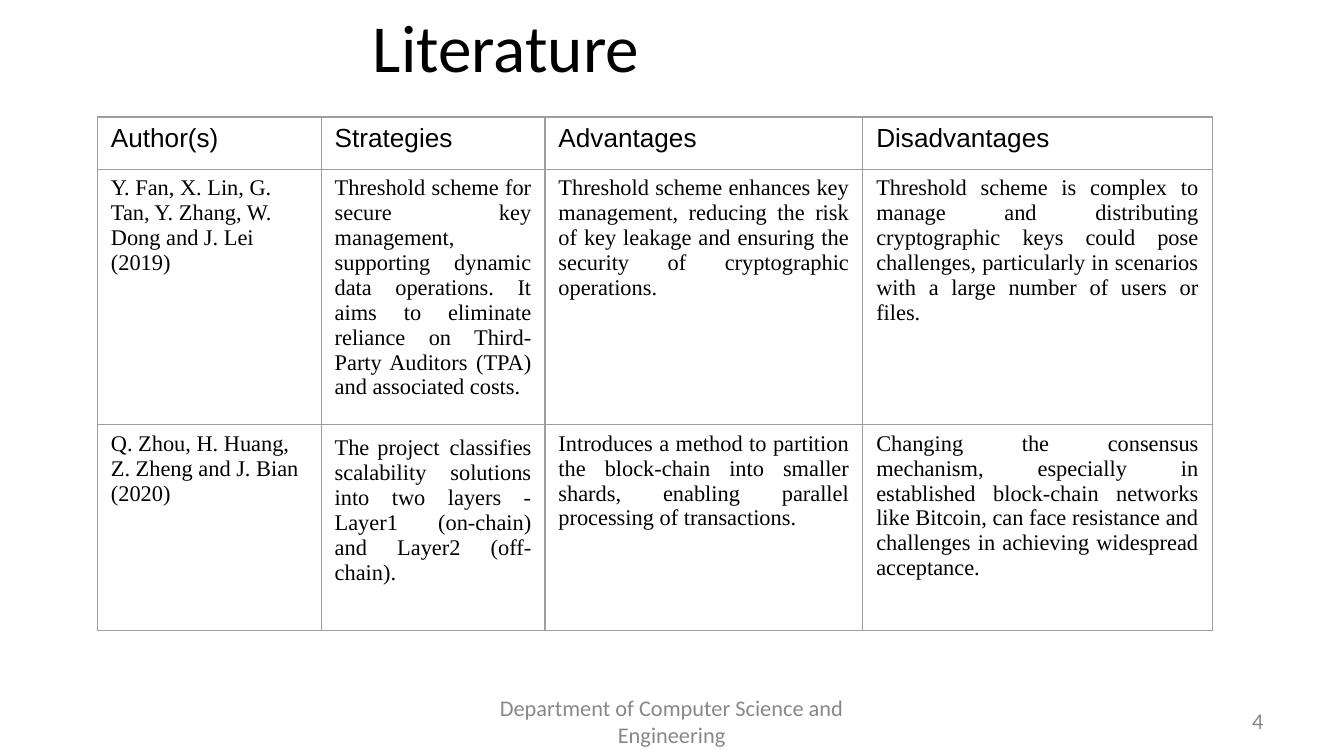
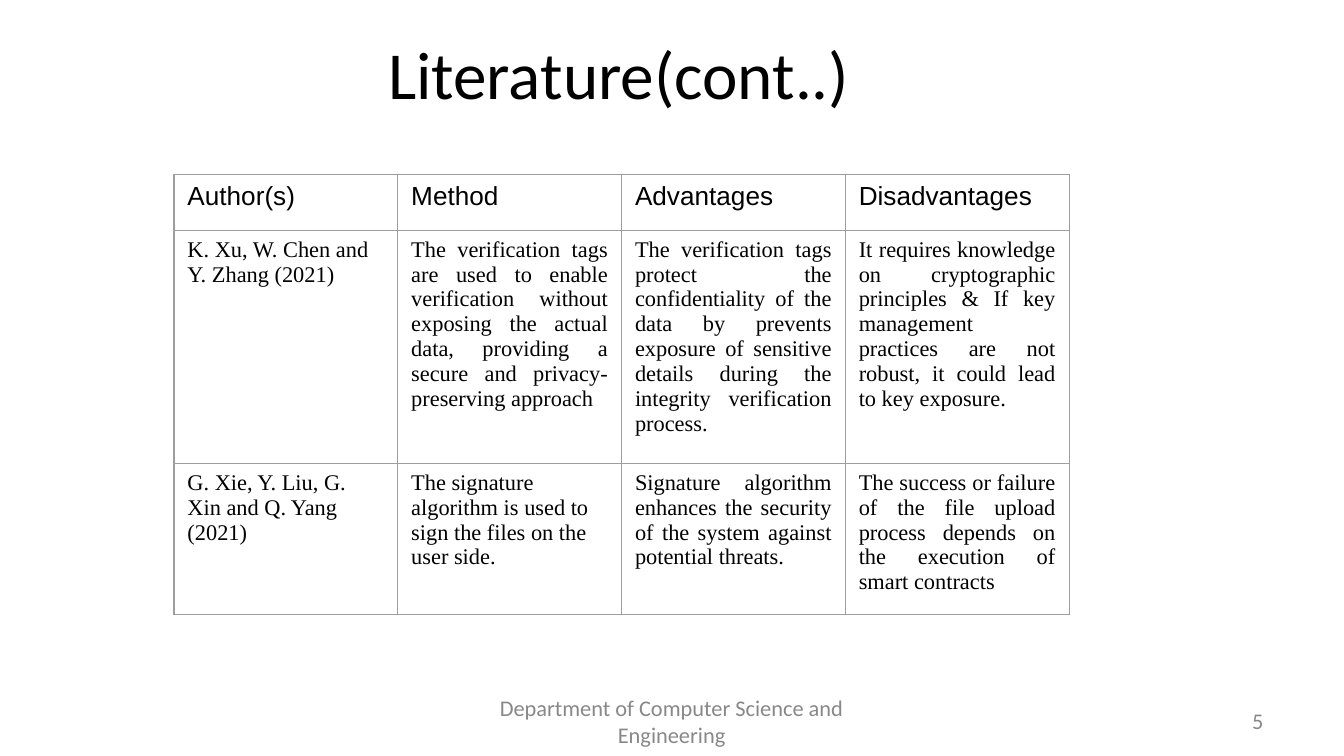
import dataclasses

import lxml.etree
import pptx
import pptx.dml.color
import pptx.enum.text
import pptx.oxml.ns
import pptx.util

PX = 4572  # EMU, 200 px to the inch
ALIGN = pptx.enum.text.PP_ALIGN
ANCHOR = pptx.enum.text.MSO_ANCHOR


@dataclasses.dataclass(frozen=True)
class Style:
    font: str
    size: int
    color: str = "000000"


@dataclasses.dataclass(frozen=True)
class Theme:
    title: Style = Style("Calibri", 36)
    header: Style = Style("Arial", 14)
    body: Style = Style("Times New Roman", 12)
    footer: Style = Style("Calibri", 12, "888888")
    background: str = "FFFFFF"
    border: str = "9E9E9E"
    border_width: float = 0.75


THEME = Theme()
SLIDE_WIDTH, SLIDE_HEIGHT = 2000, 1125
FOOTER_BOX = (683, 1043, 633, 60)
NUMBER_BOX = (1433, 1043, 467, 60)
FOOTER_TEXT = "Department of Computer Science and Engineering"

SURVEYS = [
    {
        "number": 4,
        "title": "Literature ",
        "title_box": (96, 0, 1337, 137),
        "table_corner": (145, 174),
        "columns": [333, 333, 473, 520],
        "row_heights": [78, 380, 306],
        "left_cells": [],
        "rows": [
            ["Author(s)", "Strategies", "Advantages", "Disadvantages"],
            [
                "Y. Fan, X. Lin, G. Tan, Y. Zhang, W. Dong and J. Lei (2019)",
                "Threshold scheme for secure key management, supporting dynamic data "
                "operations. It aims to eliminate reliance on Third-Party Auditors (TPA) "
                "and associated costs.",
                "Threshold scheme enhances key management, reducing the risk of key "
                "leakage and ensuring the security of cryptographic operations.",
                "Threshold scheme is complex to manage and distributing cryptographic "
                "keys could pose challenges, particularly in scenarios with a large "
                "number of users or files.",
            ],
            [
                "Q. Zhou, H. Huang, Z. Zheng and J. Bian (2020)",
                [
                    ("The project", THEME.body),
                    (" ", THEME.header),
                    ("classifies scalability solutions into two layers - Layer1 "
                     "(on-chain) and Layer2 (off-chain).", THEME.body),
                ],
                "Introduces a method to partition the block-chain into smaller shards, "
                "enabling parallel processing of transactions.",
                "Changing the consensus mechanism, especially in established block-chain "
                "networks like Bitcoin, can face resistance and challenges in achieving "
                "widespread acceptance.",
            ],
        ],
    },
    {
        "number": 5,
        "title": "Literature(cont..)",
        "title_box": (256, 39, 1330, 137),
        "table_corner": (259, 260),
        "columns": [333] * 4,
        "row_heights": [83, 347, 225],
        "left_cells": [(2, 1)],
        "rows": [
            ["Author(s)", "Method", "Advantages", "Disadvantages"],
            [
                "K. Xu, W. Chen and Y. Zhang (2021)",
                "The verification tags are used to enable verification without exposing "
                "the actual data, providing a secure and privacy-preserving approach",
                "The verification tags protect the confidentiality of the data by "
                "prevents exposure of sensitive details during the integrity "
                "verification process.",
                "It requires knowledge on cryptographic principles & If key management "
                "practices are not robust, it could lead to key exposure.",
            ],
            [
                "G. Xie, Y. Liu, G. Xin and Q. Yang (2021)",
                "The signature algorithm is used to sign the files on the user side.",
                "Signature algorithm enhances the security of the system against "
                "potential threats.",
                "The success or failure of the file upload process depends on the "
                "execution of smart contracts",
            ],
        ],
    },
]


def to_emu(lengths):
    return [length * PX for length in lengths]


def write(frame, text, *, style, align=ALIGN.LEFT, anchor=None):
    """Fill a text frame from a string, or from a list of (text, style) runs."""
    frame.word_wrap = True
    if anchor is not None:
        frame.vertical_anchor = anchor
    paragraph = frame.paragraphs[0]
    paragraph.alignment = align
    runs = [(text, style)] if isinstance(text, str) else text
    for run_text, run_style in runs:
        run = paragraph.add_run()
        run.text = run_text
        run.font.name = run_style.font
        run.font.size = pptx.util.Pt(run_style.size)
        run.font.color.rgb = pptx.dml.color.RGBColor.from_string(run_style.color)


def add_title(slide, box, text):
    title = slide.shapes.title
    title.left, title.top, title.width, title.height = to_emu(box)
    title.text_frame.auto_size = pptx.enum.text.MSO_AUTO_SIZE.NONE
    write(title.text_frame, text, style=THEME.title, align=ALIGN.CENTER,
          anchor=ANCHOR.MIDDLE)


def add_label(slide, box, text, align):
    label = slide.shapes.add_textbox(*to_emu(box))
    write(label.text_frame, text, style=THEME.footer, align=align,
          anchor=ANCHOR.MIDDLE)


def outline_cell(cell):
    properties = cell._tc.get_or_add_tcPr()
    qn = pptx.oxml.ns.qn
    for side in ("a:lnL", "a:lnR", "a:lnT", "a:lnB"):
        line = lxml.etree.SubElement(properties, qn(side))
        line.set("w", str(pptx.util.Pt(THEME.border_width)))
        fill = lxml.etree.SubElement(line, qn("a:solidFill"))
        lxml.etree.SubElement(fill, qn("a:srgbClr")).set("val", THEME.border)


def add_survey_table(slide, corner, columns, row_heights, rows, left_cells):
    box = (*corner, sum(columns), sum(row_heights))
    table = slide.shapes.add_table(len(rows), len(columns), *to_emu(box)).table
    table.first_row = table.horz_banding = False
    for column, width in zip(table.columns, to_emu(columns)):
        column.width = width
    for row, height in zip(table.rows, to_emu(row_heights)):
        row.height = height
    for row_index, texts in enumerate(rows):
        for column_index, text in enumerate(texts):
            cell = table.cell(row_index, column_index)
            outline_cell(cell)
            cell.fill.background()
            is_left = (row_index == 0 or column_index == 0
                       or (row_index, column_index) in left_cells)
            write(cell.text_frame, text,
                  style=THEME.body if row_index else THEME.header,
                  align=ALIGN.LEFT if is_left else ALIGN.JUSTIFY)


def add_survey_slide(presentation, survey):
    slide = presentation.slides.add_slide(
        presentation.slide_layouts.get_by_name("Title Only"))
    slide.background.fill.solid()
    slide.background.fill.fore_color.rgb = pptx.dml.color.RGBColor.from_string(
        THEME.background)
    add_label(slide, NUMBER_BOX, str(survey["number"]), ALIGN.RIGHT)
    add_title(slide, survey["title_box"], survey["title"])
    add_survey_table(slide, survey["table_corner"], survey["columns"],
                     survey["row_heights"], survey["rows"], survey["left_cells"])
    add_label(slide, FOOTER_BOX, FOOTER_TEXT, ALIGN.CENTER)


def main():
    presentation = pptx.Presentation()
    presentation.slide_width, presentation.slide_height = to_emu(
        (SLIDE_WIDTH, SLIDE_HEIGHT))
    for survey in SURVEYS:
        add_survey_slide(presentation, survey)
    presentation.save("out.pptx")


if __name__ == "__main__":
    main()
